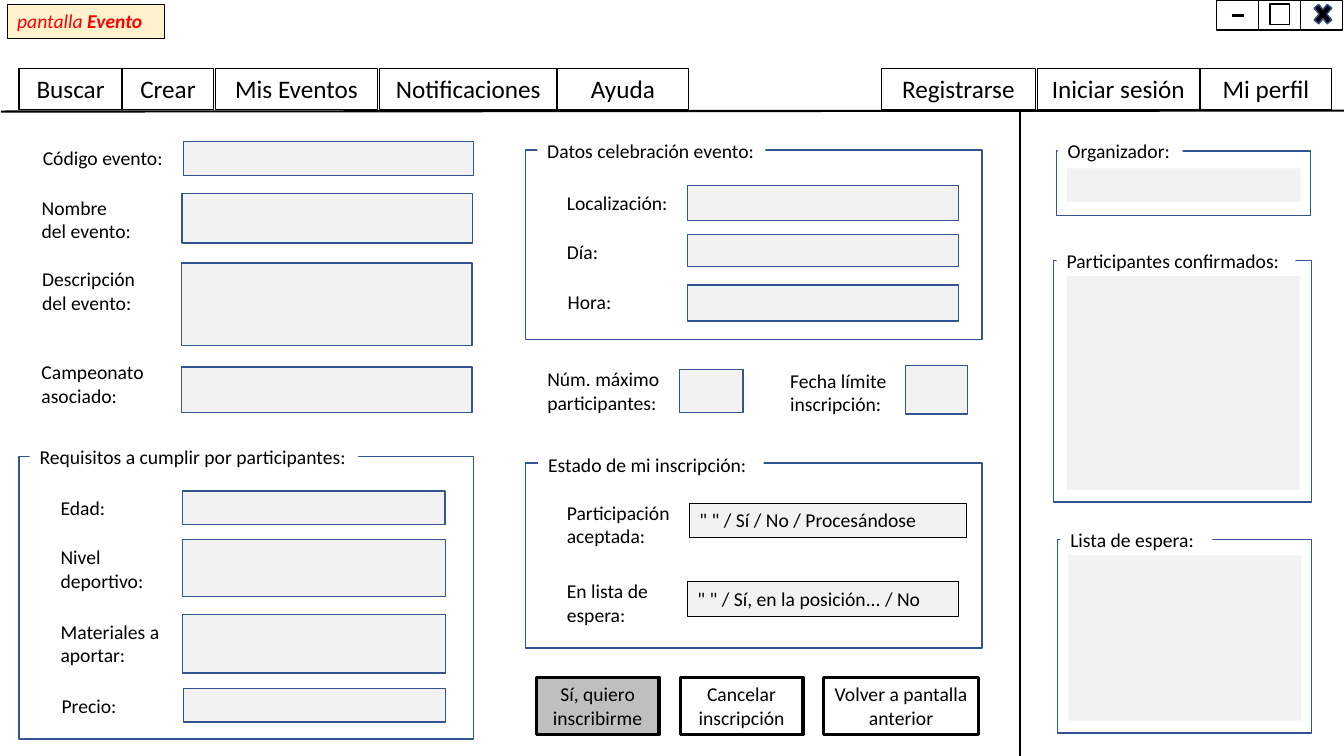
from dataclasses import dataclass
from typing import Optional

from pptx import Presentation
from pptx import util as u
from pptx.dml.color import RGBColor
from pptx.enum import shapes, text
from pptx.oxml import parse_xml
from pptx.oxml.ns import nsdecls


@dataclass(frozen=True)
class Theme:
    font: str = "Calibri"
    body: float = 14
    menu: float = 18
    black: str = "000000"
    white: str = "FFFFFF"
    red: str = "FF0000"
    blue: str = "325491"
    field: str = "F2F2F2"
    active: str = "BFBFBF"
    note: str = "FFF2CC"


T = Theme()


@dataclass(frozen=True)
class Style:
    fill: Optional[str] = None
    line: Optional[str] = None
    weight: float = 1
    size: float = T.body
    centred: bool = False


@dataclass(frozen=True)
class Box:
    x: float
    y: float
    w: float
    h: float
    words: str = ""


FRAME = Style(line=T.blue)
FIELD = Style(T.field, T.blue)
PANEL = Style(T.field)
LEGEND = Style(T.white)
STATUS = Style(T.field, T.black, 0.75)
MENU = Style(T.white, T.black, size=T.menu, centred=True)
WINDOW = Style(T.white, T.black)
BUTTON = Style(None, T.black, 2.25, centred=True)
ACTIVE = Style(T.active, T.black, 2.25, centred=True)
NOTE = Style(T.note, T.black, 0.75)

ONE, TWO = 24.5, 41  # heights of one-line and two-line text

FRAMES = [
    Box(375.3, 107.2, 326.2, 135.2), Box(375.3, 330.6, 326.2, 132.4),
    Box(13.7, 326.2, 324.7, 201.6), Box(754.6, 108, 181.4, 46.1),
    Box(752.4, 185.9, 184.3, 172.8), Box(755.3, 385.2, 181.4, 138.4),
]
LEGENDS = [
    Box(383.8, 95.8, 163, ONE, "Datos celebración evento:"),
    Box(384.5, 319.7, 161, ONE, "Estado de mi inscripción:"),
    Box(21.2, 314.2, 234.7, ONE, "Requisitos a cumplir por participantes:"),
    Box(755.5, 95.8, 89.3, ONE, "Organizador:"),
    Box(754.8, 174.2, 170.6, ONE, "Participantes confirmados:"),
    Box(757.4, 373.7, 108.7, ONE, "Lista de espera:"),
]
LABELS = [
    Box(23.5, 100.8, 103, ONE, "Código evento:"),
    Box(22.7, 136.2, 103, TWO, "Nombre\ndel evento:"),
    Box(23, 187.2, 103, TWO, "Descripción\ndel evento:"),
    Box(22.5, 253.6, 104.4, TWO, "Campeonato asociado:"),
    Box(36.2, 350.6, 88, ONE, "Edad:"),
    Box(36.2, 385.9, 88, TWO, "Nivel deportivo:"),
    Box(36.2, 439.2, 88, TWO, "Materiales a aportar:"),
    Box(36.9, 492.2, 88, ONE, "Precio:"),
    Box(397.8, 133, 88, ONE, "Localización:"),
    Box(397.8, 167.9, 88, ONE, "Día:"),
    Box(398.4, 203.8, 88, ONE, "Hora:"),
    Box(383.8, 258.7, 99.4, TWO, "Núm. máximo participantes:"),
    Box(557.3, 259.9, 88, TWO, "Fecha límite inscripción:"),
    Box(397.8, 354.2, 89, TWO, "Participación aceptada:"),
    Box(397.8, 410.2, 83, TWO, "En lista de espera:"),
]
FIELDS = [
    Box(131, 101.2, 207.4, 24), Box(130.1, 138.4, 207.4, 35.2),
    Box(129.8, 188, 207.4, 59), Box(129.8, 262.1, 207.4, 32.4),
    Box(130.3, 350.6, 187.5, 24), Box(130.3, 385.4, 188, 40.5),
    Box(130.3, 438.8, 188, 42), Box(131, 491.8, 187.2, 24),
    Box(491, 132.7, 193.7, 24.8), Box(491, 167.3, 193.7, 23),
    Box(491, 203.6, 193.7, 25.6), Box(485.3, 263.8, 45.4, 31),
    Box(647, 261.2, 43.9, 34.6),
]
STATUSES = [
    Box(492.5, 359.5, 198, ONE, '" " / Sí / No / Procesándose'),
    Box(491, 415.7, 193.7, ONE, '" " / Sí, en la posición... / No'),
]
PANELS = [
    Box(762, 120.2, 167, 24), Box(762, 197.3, 166.3, 152.6),
    Box(763.2, 396.7, 166.3, 118.1),
]
MENU_TABS = [
    Box(x, 49, w, 29.2, words) for x, w, words in [
        (13.7, 73.4, "Buscar"), (87.6, 64.8, "Crear"),
        (153.8, 115.9, "Mis Eventos"), (271.1, 126.7, "Notificaciones"),
        (398.2, 93.6, "Ayuda"), (629.5, 110.2, "Registrarse"),
        (740.9, 115.9, "Iniciar sesión"), (857.5, 93.6, "Mi perfil"),
    ]
]
WINDOW_BOXES = [Box(869 + 30 * i, 0, 30, 21.4) for i in range(3)]
BUTTONS = [
    Box(485.8, 483.9, 87.8, TWO, "Cancelar inscripción"),
    Box(588.2, 483.9, 111, TWO, "Volver a pantalla anterior"),
]


def add_run(p, words: str, size: float, color: str = T.black):
    r = p.add_run()
    r.text = words
    r.font.name = T.font
    r.font.size = u.Pt(size)
    r.font.color.rgb = RGBColor.from_string(color)
    return r


def write(sp, words: str, size: float, centred: bool = False) -> None:
    tf = sp.text_frame
    tf.word_wrap = True
    tf.vertical_anchor = text.MSO_ANCHOR.TOP
    for i, line in enumerate(words.split("\n")):
        p = tf.paragraphs[0] if i == 0 else tf.add_paragraph()
        p.alignment = text.PP_ALIGN.CENTER if centred else text.PP_ALIGN.LEFT
        add_run(p, line, size)


def add_box(s, box: Box, style: Style, kind=shapes.MSO_SHAPE.RECTANGLE):
    sp = s.shapes.add_shape(kind, u.Pt(box.x), u.Pt(box.y), u.Pt(box.w), u.Pt(box.h))
    sp.shadow.inherit = False
    if style.fill:
        sp.fill.solid()
        sp.fill.fore_color.rgb = RGBColor.from_string(style.fill)
    else:
        sp.fill.background()
    if style.line:
        sp.line.color.rgb = RGBColor.from_string(style.line)
        sp.line.width = u.Pt(style.weight)
    else:
        sp.line.fill.background()
    if box.words:
        write(sp, box.words, style.size, style.centred)
    return sp


def add_label(s, box: Box) -> None:
    sp = s.shapes.add_textbox(u.Pt(box.x), u.Pt(box.y), u.Pt(box.w), u.Pt(box.h))
    write(sp, box.words, T.body)


def add_line(s, x1: float, y1: float, x2: float, y2: float, weight: float = 1.5) -> None:
    c = s.shapes.add_connector(shapes.MSO_CONNECTOR.STRAIGHT,
                               u.Pt(x1), u.Pt(y1), u.Pt(x2), u.Pt(y2))
    c.line.color.rgb = RGBColor.from_string(T.black)
    c.line.width = u.Pt(weight)
    c._element.spPr.append(parse_xml(f"<a:effectLst {nsdecls('a')}/>"))


def main() -> None:
    prs = Presentation()
    prs.slide_width, prs.slide_height = u.Pt(960), u.Pt(540)
    s = prs.slides.add_slide(prs.slide_layouts[6])

    # Page dividers
    add_line(s, 0.7, 79.7, 960, 79)
    add_line(s, 728.6, 79.2, 728.6, 540)

    # Form, menu and window boxes
    for boxes, style in [(FRAMES, FRAME), (LEGENDS, LEGEND), (FIELDS, FIELD),
                         (STATUSES, STATUS), (PANELS, PANEL), (MENU_TABS, MENU),
                         (WINDOW_BOXES, WINDOW), (BUTTONS, BUTTON)]:
        for box in boxes:
            add_box(s, box, style)
    add_box(s, Box(383, 483.9, 87.8, TWO, "Sí, quiero inscribirme"), ACTIVE)
    for label in LABELS:
        add_label(s, label)

    # Window symbols: minimise, maximise, close
    add_line(s, 879.8, 10.8, 888.5, 10.8, 2.25)
    add_box(s, Box(907.2, 3, 13.7, 14.4), Style(line=T.black))
    add_box(s, Box(936, -0.7, 18, 21.6), Style(T.black, T.blue),
            shapes.MSO_SHAPE.MATH_MULTIPLY)

    # Screen name
    note = add_box(s, Box(5.2, 3, 112.3, ONE, "pantalla"), NOTE)
    p = note.text_frame.paragraphs[0]
    add_run(p, " Evento", T.body).font.bold = True
    for r in p.runs:
        r.font.italic = True
        r.font.color.rgb = RGBColor.from_string(T.red)

    prs.save("out.pptx")


if __name__ == "__main__":
    main()
